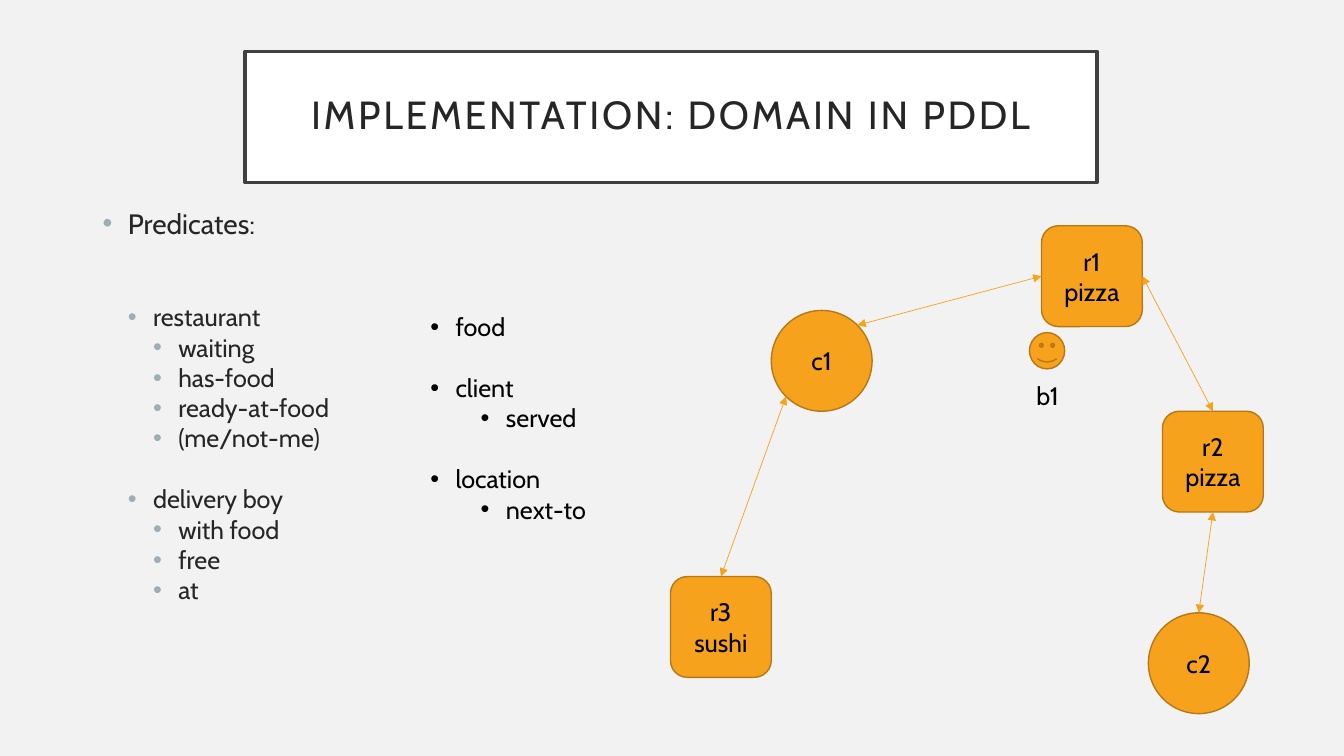
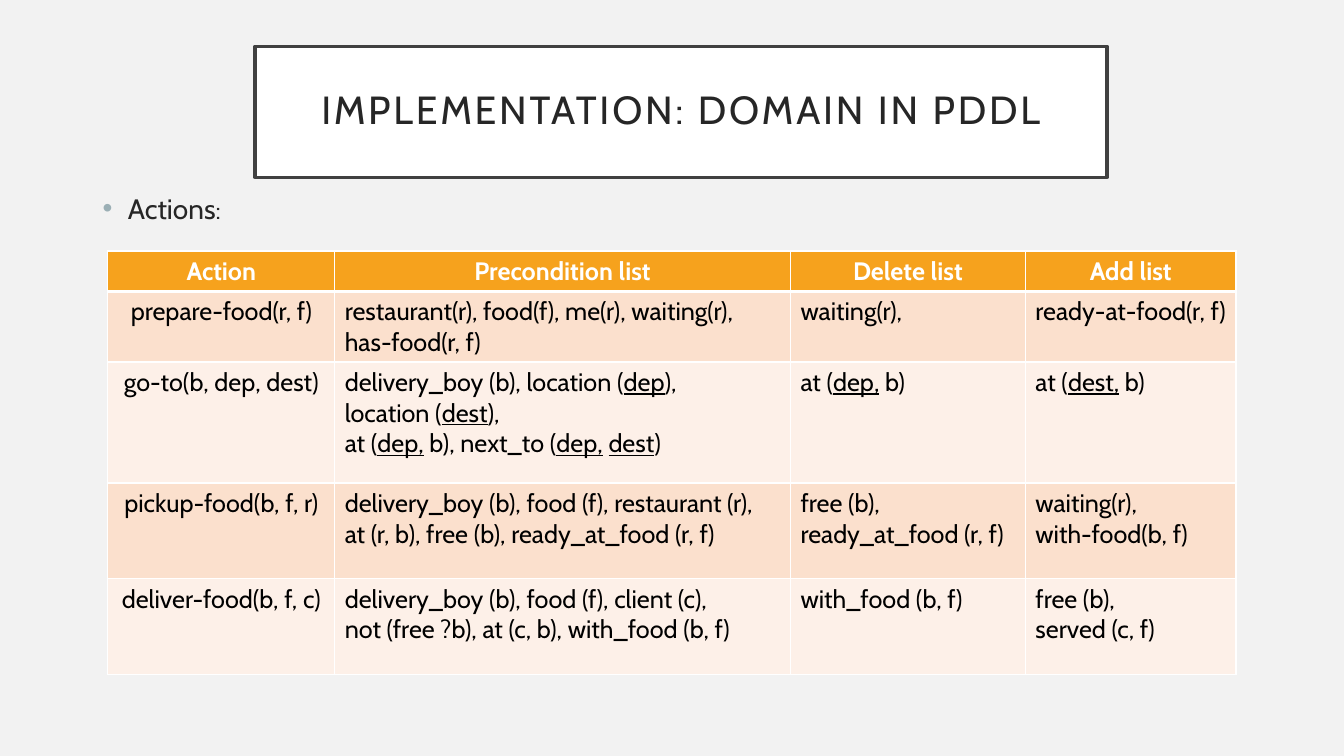
from math import sqrt

from lxml.etree import SubElement
from pptx import Presentation
from pptx.dml.color import RGBColor
from pptx.enum.shapes import MSO_CONNECTOR, MSO_SHAPE
from pptx.enum.text import MSO_ANCHOR, MSO_AUTO_SIZE, PP_ALIGN
from pptx.oxml.ns import qn
from pptx.util import Inches, Pt

COLORS = {
    "background": "F2F2F2", "white": "FFFFFF", "frame": "404040",
    "heading": "262626", "black": "000000", "bullet": "9BAFB5",
    "accent": "F6A21D", "outline": "B67815",
    "odd_row": "FBE0CD", "even_row": "FDF0E8",
}
FONT = "Cabin"
TITLE = "IMPLEMENTATION: DOMAIN IN PDDL"
BODY_SIZE, LEAD_SIZE, TITLE_SIZE = 18, 20, 28
TITLE_ONLY = 5
TOP, LEFT, BOTTOM, RIGHT = range(4)
NODE = 10
INDENT = 2.5
UNDERLINE = "*"

PREDICATES = [
    (1, "Predicates:", LEAD_SIZE, 0),
    (2, "restaurant", BODY_SIZE, 44),
    (3, "waiting", BODY_SIZE, 0),
    (3, "has-food", BODY_SIZE, 0),
    (3, "ready-at-food", BODY_SIZE, 0),
    (3, "(me/not-me)", BODY_SIZE, 0),
    (2, "delivery boy", BODY_SIZE, 22),
    (3, "with food", BODY_SIZE, 0),
    (3, "free", BODY_SIZE, 0),
    (3, "at", BODY_SIZE, 0),
]
OBJECTS = [
    (3, "food", BODY_SIZE, 0),
    (3, "client", BODY_SIZE, 22),
    (5, "served", BODY_SIZE, 0),
    (3, "location", BODY_SIZE, 22),
    (5, "next-to", BODY_SIZE, 0),
]
ACTIONS = [
    ["Action", "Precondition list", "Delete list", "Add list"],
    ["prepare-food(r, f)",
     "restaurant(r), food(f), me(r), waiting(r), has-food(r, f)",
     "waiting(r),", "ready-at-food(r, f)"],
    ["go-to(b, dep, dest)",
     "delivery_boy (b), location (*dep*),\nlocation (*dest*),\n"
     "at (*dep,* b), next_to (*dep,* *dest*)",
     "at (*dep,* b)", "at (*dest,* b)"],
    ["pickup-food(b, f, r)",
     "delivery_boy (b), food (f), restaurant (r),\n"
     "at (r, b), free (b), ready_at_food (r, f)",
     "free (b), ready_at_food (r, f)", "waiting(r),\nwith-food(b, f)"],
    ["deliver-food(b, f, c)",
     "delivery_boy (b), food (f), client (c),\n"
     "not (free ?b), at (c, b), with_food (b, f)",
     "with_food (b, f)", "free (b),\nserved (c, f)"],
]
ACTION_COLUMNS = [22.5, 45.2, 23.3, 20.9]
ACTION_ROWS = [3.7, 6.5, 12, 9.5, 9.5]


def grid(cells):
    return Inches(cells / 10)


def box(left, top, width, height):
    return [grid(cells) for cells in (left, top, width, height)]


def rgb(color):
    return RGBColor.from_string(COLORS[color])


def paint(shape, fill, line, weight):
    shape.fill.solid()
    shape.fill.fore_color.rgb = rgb(fill)
    shape.line.color.rgb = rgb(line)
    shape.line.width = Pt(weight)


def format_run(run, color="black", size=BODY_SIZE, bold=False):
    run.font.name = FONT
    run.font.size = Pt(size)
    run.font.bold = bold
    run.font.color.rgb = rgb(color)


def format_frame(frame, align=PP_ALIGN.LEFT, **style):
    for paragraph in frame.paragraphs:
        paragraph.alignment = align
        for run in paragraph.runs:
            format_run(run, **style)


def add_titled_slide(deck, left, top):
    slide = deck.slides.add_slide(deck.slide_layouts[TITLE_ONLY])
    title = slide.shapes.title
    title.left, title.top, title.width, title.height = box(left, top, 84.5, 13)
    paint(title, "white", "frame", 2.5)
    frame = title.text_frame
    frame.text = TITLE
    frame.auto_size = MSO_AUTO_SIZE.NONE
    frame.word_wrap = True
    frame.vertical_anchor = MSO_ANCHOR.MIDDLE
    frame.margin_left = frame.margin_right = grid(2)
    frame.margin_top = frame.margin_bottom = grid(2)
    format_frame(frame, PP_ALIGN.CENTER, color="heading", size=TITLE_SIZE)
    heading = frame.paragraphs[0]
    heading.line_spacing = 0.9
    heading.runs[0].font._element.set("spc", "200")
    return slide


def add_bullet(paragraph, depth, color):
    properties = paragraph._p.get_or_add_pPr()
    properties.set("marL", str(grid(depth * INDENT)))
    properties.set("indent", str(-grid(INDENT)))
    bullet_color = SubElement(properties, qn("a:buClr"))
    SubElement(bullet_color, qn("a:srgbClr"), val=COLORS[color])
    SubElement(properties, qn("a:buFont"), typeface="Arial")
    SubElement(properties, qn("a:buChar"), char="•")


def add_bullets(slide, place, entries, color="heading", bullet="bullet"):
    frame = slide.shapes.add_textbox(*box(*place)).text_frame
    frame.word_wrap = True
    frame.text = "\n".join(entry[1] for entry in entries)
    for paragraph, (depth, _, size, gap) in zip(frame.paragraphs, entries):
        format_run(paragraph.runs[0], color, size)
        paragraph.space_before = Pt(gap)
        add_bullet(paragraph, depth, bullet)
    return frame


def add_node(slide, kind, left, top, label="", width=NODE, height=NODE):
    node = slide.shapes.add_shape(kind, *box(left, top, width, height))
    node.shadow.inherit = False
    paint(node, "accent", "outline", 1)
    if label:
        node.text_frame.text = label
        node.text_frame.vertical_anchor = MSO_ANCHOR.MIDDLE
        format_frame(node.text_frame, PP_ALIGN.CENTER)
    return node


def rim_point(circle, side_x, side_y):
    reach = 1 / sqrt(2)
    return (int(circle.left + circle.width * (1 + side_x * reach) / 2),
            int(circle.top + circle.height * (1 + side_y * reach) / 2))


def add_road(slide, start, end):
    road = slide.shapes.add_connector(MSO_CONNECTOR.STRAIGHT, 0, 0, 0, 0)
    node, site = start
    road.begin_connect(node, site)
    if isinstance(end[0], int):
        road.end_x, road.end_y = end
    else:
        node, site = end
        road.end_connect(node, site)
    road.line.color.rgb = rgb("accent")
    road.line.width = Pt(0.5)
    outline = road.line._get_or_add_ln()
    for tip in ("a:headEnd", "a:tailEnd"):
        SubElement(outline, qn(tip), type="triangle")
    SubElement(road._element.spPr, qn("a:effectLst"))


def add_label(slide, place, text):
    frame = slide.shapes.add_textbox(*box(*place)).text_frame
    frame.word_wrap = False
    frame.text = text
    format_frame(frame)


def add_map(slide):
    circle, house = MSO_SHAPE.OVAL, MSO_SHAPE.ROUNDED_RECTANGLE
    client_1 = add_node(slide, circle, 76.5, 30.8, "c1")
    pizza_1 = add_node(slide, house, 103.3, 22.4, "r1\npizza")
    sushi = add_node(slide, house, 66.5, 57.2, "r3\nsushi")
    pizza_2 = add_node(slide, house, 115.3, 40.8, "r2\npizza")
    add_node(slide, MSO_SHAPE.SMILEY_FACE, 102.1, 33, width=3.5, height=3.6)
    client_2 = add_node(slide, circle, 113.9, 60.8, "c2")
    add_road(slide, (pizza_2, TOP), (pizza_1, RIGHT))
    add_road(slide, (client_2, TOP), (pizza_2, BOTTOM))
    add_road(slide, (pizza_1, LEFT), rim_point(client_1, 1, -1))
    add_road(slide, (sushi, TOP), rim_point(client_1, -1, 1))
    add_label(slide, (101.8, 37.2, 4.5, 4), "b1")


def set_borders(cell, bottom_weight):
    properties = cell._tc.get_or_add_tcPr()
    weights = {"L": 1, "R": 1, "T": 1, "B": bottom_weight}
    for side, weight in weights.items():
        border = SubElement(properties, qn("a:ln" + side), w=str(Pt(weight)))
        fill = SubElement(border, qn("a:solidFill"))
        SubElement(fill, qn("a:srgbClr"), val=COLORS["white"])


def write_cell(cell, text, align, **style):
    frame = cell.text_frame
    frame.text = text.replace(UNDERLINE, "")
    for paragraph, line in zip(frame.paragraphs, text.split("\n")):
        pieces = line.split(UNDERLINE)
        paragraph.runs[0].text = pieces[0]
        for position, piece in enumerate(pieces[1:], 1):
            run = paragraph.add_run()
            run.text = piece
            run.font.underline = position % 2 == 1
    format_frame(frame, align, **style)


def add_action_table(slide, left, top):
    place = box(left, top, sum(ACTION_COLUMNS), sum(ACTION_ROWS))
    table = slide.shapes.add_table(
        len(ACTION_ROWS), len(ACTION_COLUMNS), *place).table
    for column, width in zip(table.columns, ACTION_COLUMNS):
        column.width = grid(width)
    for row_index, (row, height) in enumerate(zip(table.rows, ACTION_ROWS)):
        row.height = grid(height)
        header = row_index == 0
        band = "odd_row" if row_index % 2 else "even_row"
        for column_index, cell in enumerate(row.cells):
            centred = header or column_index == 0
            set_borders(cell, 3 if header else 1)
            cell.fill.solid()
            cell.fill.fore_color.rgb = rgb("accent" if header else band)
            write_cell(cell, ACTIONS[row_index][column_index],
                       PP_ALIGN.CENTER if centred else PP_ALIGN.LEFT,
                       color="white" if header else "black", bold=header)


def main():
    deck = Presentation()
    deck.slide_width, deck.slide_height = Inches(13.33), Inches(7.5)
    backdrop = deck.slide_master.background.fill
    backdrop.solid()
    backdrop.fore_color.rgb = rgb("background")

    predicates = add_titled_slide(deck, 24.3, 5.1)
    add_bullets(predicates, (9.2, 20, 53, 49.8), PREDICATES)
    add_bullets(predicates, (36.7, 30.4, 28, 37.6), OBJECTS, "black", "black")
    add_map(predicates)

    actions = add_titled_slide(deck, 25.3, 4.6)
    lead = add_bullets(actions, (9.2, 18.5, 115, 5),
                       [(1, "Actions", LEAD_SIZE, 0)])
    colon = lead.paragraphs[0].add_run()
    colon.text = ":"
    format_run(colon, "heading")
    add_action_table(actions, 10.7, 24.9)

    deck.save("out.pptx")


if __name__ == "__main__":
    main()
